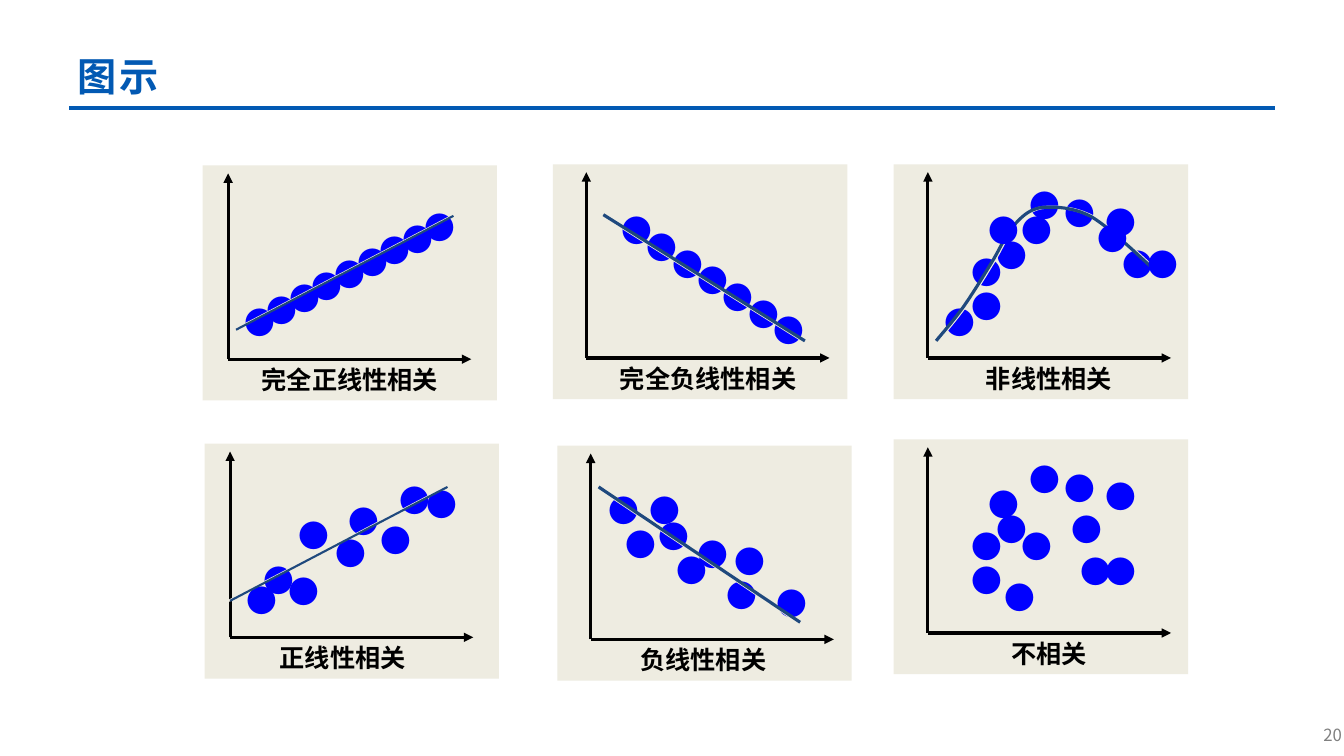
from dataclasses import dataclass

from lxml.etree import SubElement
from pptx import Presentation
from pptx.dml.color import RGBColor
from pptx.enum.shapes import MSO_CONNECTOR, MSO_SHAPE
from pptx.enum.text import MSO_ANCHOR, PP_ALIGN
from pptx.oxml.ns import qn
from pptx.util import Cm, Pt

FONT = "Noto Sans CJK SC"
COLORS = {"title": "0259B3", "page": "808080", "panel": "EEECE1", "axis": "000000",
          "dot": "0000FF", "trend": "1F497D", "caption": "000000"}
PANEL_WIDTH, PANEL_HEIGHT = 7.42, 5.92
AXIS_TOP, AXIS_BOTTOM, AXIS_LENGTH = 0.2, 4.88, 6.13
DOT_WIDTH, DOT_HEIGHT = 1.28, 1.19
CAPTION_WIDTH, CAPTION_HEIGHT = 5.28, 1.02


@dataclass
class Panel:
    """A diagram in cm; everything after left and top is measured from that corner."""
    caption: str
    left: float
    top: float
    axis_left: float
    caption_left: float
    dots: list
    trend: tuple = ()
    trend_width: float = 2.25
    curve: tuple = ()
    front_dots: tuple = ()


def dot_row(x, y, step_x, step_y, count):
    return [(x + i * step_x, y + i * step_y) for i in range(count)]


PANELS = [
    Panel("不相关", 22.53, 11.07, 0.86, 1.27,
          [(2.54, 3.38), (4.45, 2.74), (4.04, 0.64), (5.08, 0.84), (3.18, 0.41), (2.97, 2.11),
           (2.34, 1.68), (1.7, 2.95), (1.7, 2.11), (4.24, 1.68), (5.08, 2.74), (2.13, 1.04)]),
    Panel("负线性相关", 14.05, 11.23, 0.84, 1.04,
          [(4.01, 3.18), (5.28, 3.38), (2.74, 2.54), (4.22, 2.31), (1.47, 1.9), (3.28, 2.13),
           (2.31, 1.68), (1.04, 1.04), (2.07, 1.04)],
          trend=(1.04, 1.04, 6.12, 4.45)),
    Panel("正线性相关", 5.16, 11.18, 0.64, 0.84,
          [(0.79, 3.35), (5.33, 0.94), (4.17, 1.83), (4.65, 0.84), (3.38, 1.37), (3.05, 2.16),
           (2.11, 1.7), (1.24, 2.84), (1.85, 3.12)],
          trend=(0.64, 3.96, 6.12, 1.09), trend_width=1.5),
    Panel("非线性相关", 22.53, 4.14, 0.86, 1.27,
          [(1.02, 3.38), (5.51, 1.91), (4.04, 0.64), (5.08, 0.86), (3.18, 0.43), (2.97, 1.07),
           (2.34, 1.7), (1.7, 2.97), (1.7, 2.13)],
          curve=((1.07, 4.45), (1.3, 4.17), (1.55, 3.89), (1.78, 3.56), (2.01, 3.23),
                 (2.29, 2.77), (2.49, 2.44), (2.69, 2.11), (2.82, 1.78), (3.02, 1.55),
                 (3.23, 1.32), (3.4, 1.14), (3.73, 1.09), (4.06, 1.07), (4.5, 1.07),
                 (4.98, 1.32), (5.44, 1.6), (5.99, 2.13), (6.58, 2.67)),
          front_dots=((4.88, 1.27), (6.15, 1.91), (2.13, 1.07))),
    Panel("完全负线性相关", 13.94, 4.14, 0.84, 1.27,
          dot_row(1.47, 1.07, 0.64, 0.42, 7), trend=(1.27, 1.27, 6.35, 4.45)),
    Panel("完全正线性相关", 5.11, 4.17, 0.64, 1.07,
          dot_row(0.79, 3.35, 0.57, -0.3, 9),
          trend=(0.84, 4.14, 6.32, 1.27), trend_width=1.5),
]


def rgb(name):
    return RGBColor.from_string(COLORS[name])


def style_runs(paragraph, size, color, bold=False):
    for run in paragraph.runs:
        run.font.size = Pt(size)
        run.font.name = FONT
        run.font.bold = bold
        run.font.color.rgb = rgb(color)
        SubElement(run.font._element, qn("a:ea"), typeface=FONT)


def add_text(shapes, text, left, top, width, height, size, color, bold=False,
             align=PP_ALIGN.CENTER):
    box = shapes.add_textbox(Cm(left), Cm(top), Cm(width), Cm(height))
    frame = box.text_frame
    frame.word_wrap = True
    frame.vertical_anchor = MSO_ANCHOR.MIDDLE
    frame.margin_left = frame.margin_right = frame.margin_top = frame.margin_bottom = 0
    frame.text = text
    frame.paragraphs[0].alignment = align
    style_runs(frame.paragraphs[0], size, color, bold)


def set_shadow(shape, distance=0, degrees=0):
    """Give a line a hard panel-coloured shadow, or none when distance is 0."""
    properties = shape._element.spPr
    for old in properties.findall(qn("a:effectLst")):
        properties.remove(old)
    effects = SubElement(properties, qn("a:effectLst"))
    if distance:
        shadow = SubElement(effects, qn("a:outerShdw"), blurRad="0", dist=str(Pt(distance)),
                            dir=str(degrees * 60000), algn="ctr", rotWithShape="0")
        SubElement(shadow, qn("a:srgbClr"), val=COLORS["panel"])


def add_line(shapes, x1, y1, x2, y2, color, width=2.25, arrow=False, shadow=(0, 0)):
    line = shapes.add_connector(MSO_CONNECTOR.STRAIGHT, Cm(x1), Cm(y1), Cm(x2), Cm(y2))
    line.line.color.rgb = rgb(color)
    line.line.width = Pt(width)
    if arrow:
        SubElement(line.line._get_or_add_ln(), qn("a:tailEnd"), type="triangle")
    set_shadow(line, *shadow)


def bezier_points(controls, steps=12):
    """Sample a chain of cubic segments that share their end points."""
    points = [controls[0]]
    for start in range(0, len(controls) - 1, 3):
        segment = controls[start:start + 4]
        for step in range(1, steps + 1):
            t = step / steps
            weights = ((1 - t) ** 3, 3 * t * (1 - t) ** 2, 3 * t * t * (1 - t), t ** 3)
            points.append(tuple(sum(w * p[axis] for w, p in zip(weights, segment))
                                for axis in (0, 1)))
    return points


def add_curve(shapes, controls, left, top):
    points = [(Cm(left + x), Cm(top + y)) for x, y in bezier_points(controls)]
    builder = shapes.build_freeform(*points[0])
    builder.add_line_segments(points[1:], close=False)
    curve = builder.convert_to_shape()
    curve.fill.background()
    curve.line.color.rgb = rgb("trend")
    curve.line.width = Pt(2.25)
    set_shadow(curve, 1, 0)


def add_dots(shapes, dots, left, top):
    for x, y in dots:
        add_text(shapes, "●", left + x, top + y, DOT_WIDTH, DOT_HEIGHT, 22, "dot")


def add_panel(slide, panel):
    shapes = slide.shapes.add_group_shape().shapes
    left, top = panel.left, panel.top
    background = shapes.add_shape(MSO_SHAPE.RECTANGLE, Cm(left), Cm(top),
                                  Cm(PANEL_WIDTH), Cm(PANEL_HEIGHT))
    background.shadow.inherit = False
    background.fill.solid()
    background.fill.fore_color.rgb = rgb("panel")
    background.line.fill.background()

    origin_x, origin_y = left + panel.axis_left, top + AXIS_BOTTOM
    for end_x, end_y in ((origin_x, top + AXIS_TOP), (origin_x + AXIS_LENGTH, origin_y)):
        add_line(shapes, origin_x, origin_y, end_x, end_y, "axis", arrow=True,
                 shadow=(1.4, 45))

    add_dots(shapes, panel.dots, left, top)
    if panel.trend:
        x1, y1, x2, y2 = panel.trend
        add_line(shapes, left + x1, top + y1, left + x2, top + y2, "trend",
                 panel.trend_width, shadow=(1, 180))
    if panel.curve:
        add_curve(shapes, panel.curve, left, top)
    add_dots(shapes, panel.front_dots, left, top)
    add_text(shapes, panel.caption, left + panel.caption_left, origin_y,
             CAPTION_WIDTH, CAPTION_HEIGHT, 18, "caption", bold=True)


def add_heading(slide, text, left, top, width, height):
    title = slide.shapes.title
    title.left, title.top, title.width, title.height = Cm(left), Cm(top), Cm(width), Cm(height)
    title.text_frame.text = text
    title.text_frame.vertical_anchor = MSO_ANCHOR.MIDDLE
    paragraph = title.text_frame.paragraphs[0]
    paragraph.alignment = PP_ALIGN.LEFT
    style_runs(paragraph, 28, "title", bold=True)
    paragraph.runs[0].font._element.set("spc", "220")
    add_line(slide.shapes, left + 0.05, top + 1.81, left + width - 0.05, top + 1.81, "title")


def main():
    presentation = Presentation()
    presentation.slide_width, presentation.slide_height = Cm(33.88), Cm(19.05)
    slide = presentation.slides.add_slide(presentation.slide_layouts[5])
    add_heading(slide, "图示", 1.7, 0.91, 30.5, 2.01)
    add_text(slide.shapes, "20", 25.93, 18.06, 7.9, 0.89, 12, "page", align=PP_ALIGN.RIGHT)
    for panel in PANELS:
        add_panel(slide, panel)
    presentation.save("out.pptx")


if __name__ == "__main__":
    main()
